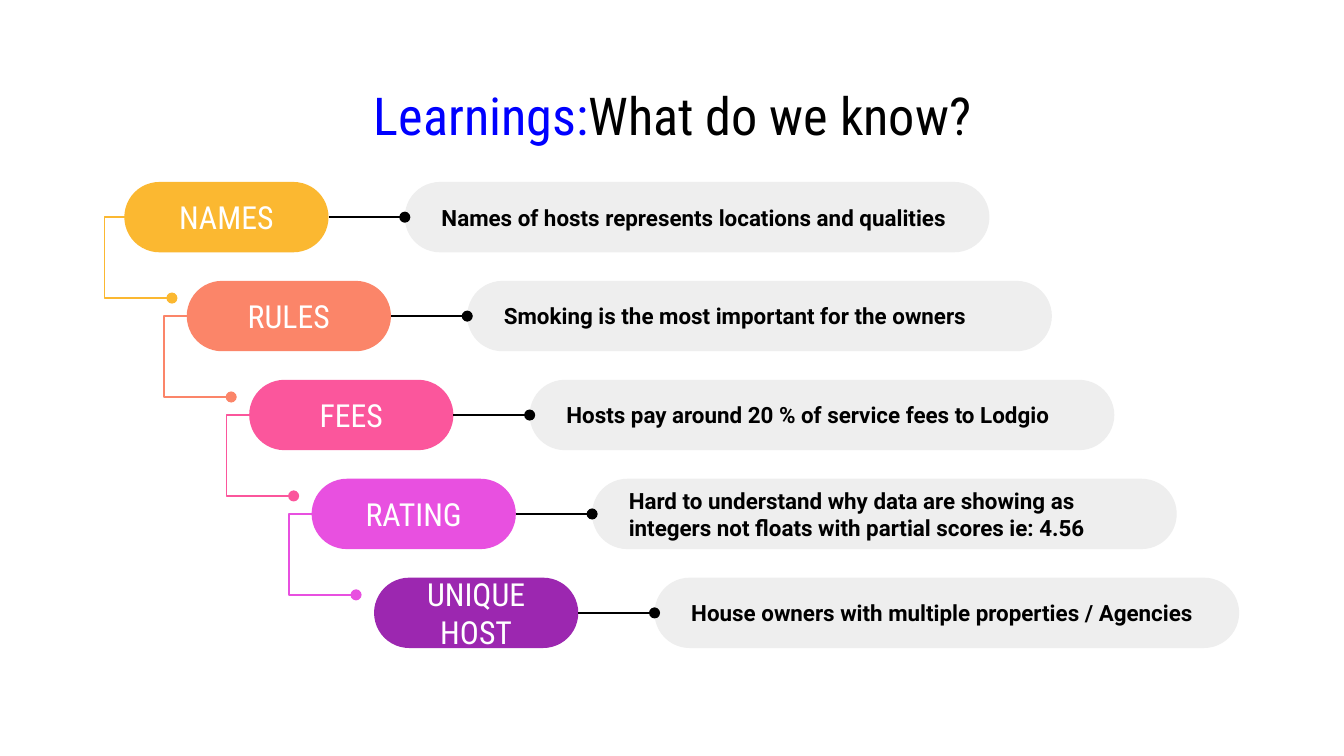
from pptx import Presentation
from pptx import util as u
from pptx.dml.color import RGBColor
from pptx.enum import shapes, text
from pptx.oxml import ns, xmlchemy

COLOURS = {
    "accent": "0000FF",
    "black": "000000",
    "white": "FFFFFF",
    "panel": "EEEEEE",
    "names": "FBB831",
    "rules": "FB8569",
    "fees": "FB569C",
    "rating": "E850E0",
    "host": "9C27B0",
}
ROWS = [
    ("names", "NAMES", "Names of hosts represents locations and qualities"),
    ("rules", "RULES", "Smoking is the most important for the owners"),
    ("fees", "FEES", "Hosts pay around 20 % of service fees to Lodgio"),
    ("rating", "RATING", "Hard to understand why data are showing as "
     "integers not floats with partial scores ie: 4.56"),
    ("host", "UNIQUE HOST", "House owners with multiple properties / Agencies"),
]
ROW_LEFT, ROW_TOP, ROW_HEIGHT = 2.35, 3.44, 1.33
STEP_X, STEP_Y = 1.18, 1.87
LABEL_WIDTH, GAP, PANEL_WIDTH = 3.86, 1.44, 11.05
BRACKET_DEPTH, BRACKET_WIDTH, BRACKET_HEIGHT = 0.43, 1.27, 1.53
FIRST_BRACKET_SHIFT = 0.06


def colour(name):
    return RGBColor.from_string(COLOURS[name])


def set_font(font, family, size, name, bold=False):
    font.name = family
    font.size = u.Pt(size)
    font.bold = bold
    font.color.rgb = colour(name)


def set_frame(frame, left_inset=0.25):
    frame.word_wrap = True
    frame.vertical_anchor = text.MSO_ANCHOR.MIDDLE
    frame.margin_left = u.Cm(left_inset)
    frame.margin_right = frame.margin_top = frame.margin_bottom = u.Cm(0.25)


def style_dotted_line(line, name):
    line.color.rgb = colour(name)
    line.width = u.Pt(0.75)
    tail = xmlchemy.OxmlElement("a:tailEnd")
    tail.set("type", "oval")
    line._get_or_add_ln().append(tail)


def add_title(slide, left, top, width, height):
    box = slide.shapes.add_textbox(u.Cm(left), u.Cm(top), u.Cm(width), u.Cm(height))
    set_frame(box.text_frame)
    paragraph = box.text_frame.paragraphs[0]
    paragraph.alignment = text.PP_ALIGN.CENTER
    for words, name in (("Learnings:", "accent"), ("What do we know?", "black")):
        run = paragraph.add_run()
        run.text = words
        set_font(run.font, "Roboto Condensed", 28, name)


def add_pill(group, left, top, width, height, fill, words, left_inset, alignment):
    pill = group.shapes.add_shape(shapes.MSO_SHAPE.ROUNDED_RECTANGLE,
                                  u.Cm(left), u.Cm(top), u.Cm(width), u.Cm(height))
    pill.adjustments[0] = 0.5
    pill.shadow.inherit = False
    pill.fill.solid()
    pill.fill.fore_color.rgb = colour(fill)
    pill.line.fill.background()
    set_frame(pill.text_frame, left_inset)
    paragraph = pill.text_frame.paragraphs[0]
    paragraph.text = words
    paragraph.alignment = alignment
    return paragraph


def add_bracket(group, left, top, width, height, name):
    points = [(left, top), (left, top + height), (left + width, top + height)]
    builder = group.shapes.build_freeform(u.Cm(left + BRACKET_DEPTH), u.Cm(top))
    builder.add_line_segments([(u.Cm(x), u.Cm(y)) for x, y in points], close=False)
    bracket = builder.convert_to_shape()
    bracket.shadow.inherit = False
    bracket.fill.background()
    style_dotted_line(bracket.line, name)


def add_link(group, left, middle, width):
    link = group.shapes.add_connector(shapes.MSO_CONNECTOR.STRAIGHT, u.Cm(left),
                                      u.Cm(middle), u.Cm(left + width), u.Cm(middle))
    style_dotted_line(link.line, "black")
    link._element.find(ns.qn("p:spPr")).append(xmlchemy.OxmlElement("a:effectLst"))


def add_row(slide, left, top, height, name, label, message, bracket_shift=None):
    group = slide.shapes.add_group_shape()
    middle = top + height / 2
    panel_left = left + LABEL_WIDTH + GAP
    if bracket_shift is not None:
        add_bracket(group, left - BRACKET_DEPTH + bracket_shift, middle,
                    BRACKET_WIDTH, BRACKET_HEIGHT, name)
    paragraph = add_pill(group, left, top, LABEL_WIDTH, height, name, label,
                         0.25, text.PP_ALIGN.CENTER)
    set_font(paragraph.font, "Roboto Condensed", 17, "white")
    paragraph = add_pill(group, panel_left, top, PANEL_WIDTH, height, "panel", message,
                         0.5, text.PP_ALIGN.LEFT)
    set_font(paragraph.font, "Roboto", 12, "black", bold=True)
    add_link(group, left + LABEL_WIDTH, middle, GAP)


def main():
    presentation = Presentation()
    presentation.slide_width = u.Cm(25.4)
    presentation.slide_height = u.Cm(14.29)
    slide = presentation.slides.add_slide(presentation.slide_layouts[6])
    add_title(slide, 1.98, 1.5, 21.46, 1.35)
    shifts = [FIRST_BRACKET_SHIFT, 0, 0, 0, None]
    for index, (row, shift) in enumerate(zip(ROWS, shifts)):
        add_row(slide, ROW_LEFT + index * STEP_X, ROW_TOP + index * STEP_Y,
                ROW_HEIGHT, *row, bracket_shift=shift)
    presentation.save("out.pptx")


if __name__ == "__main__":
    main()
